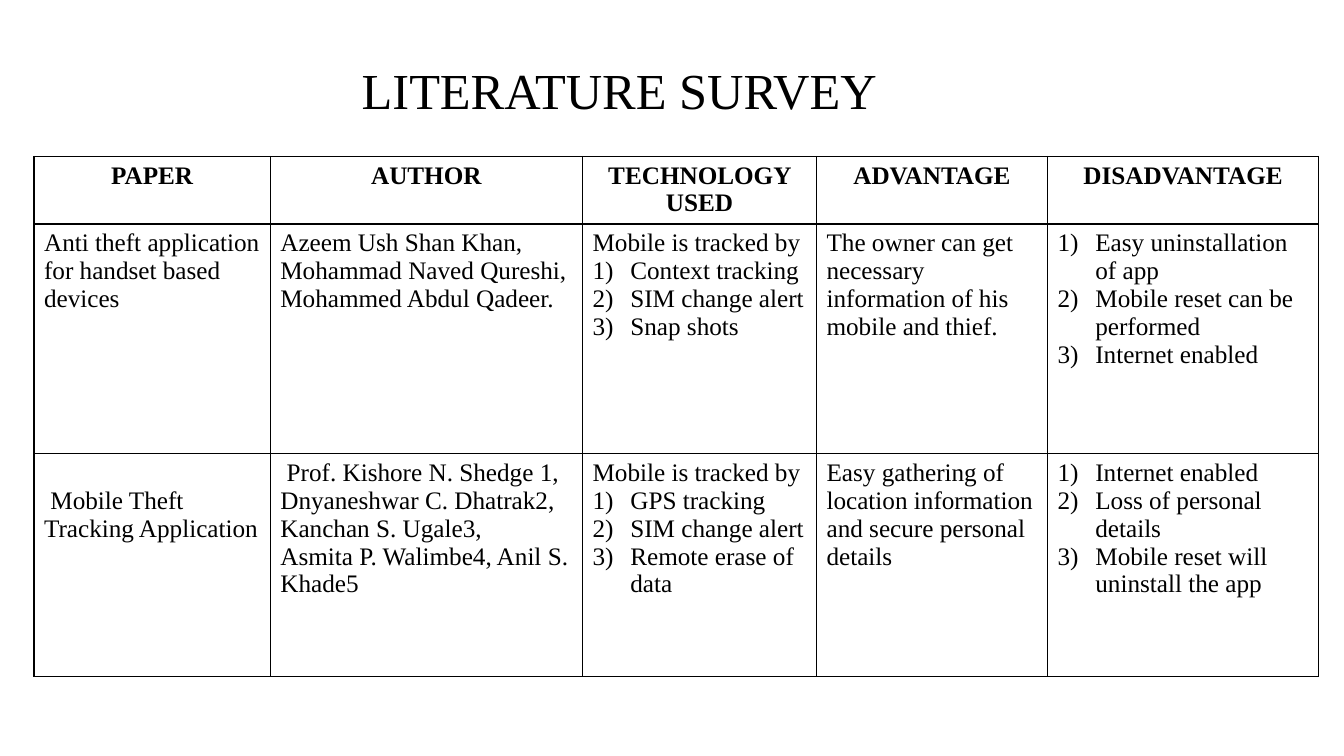
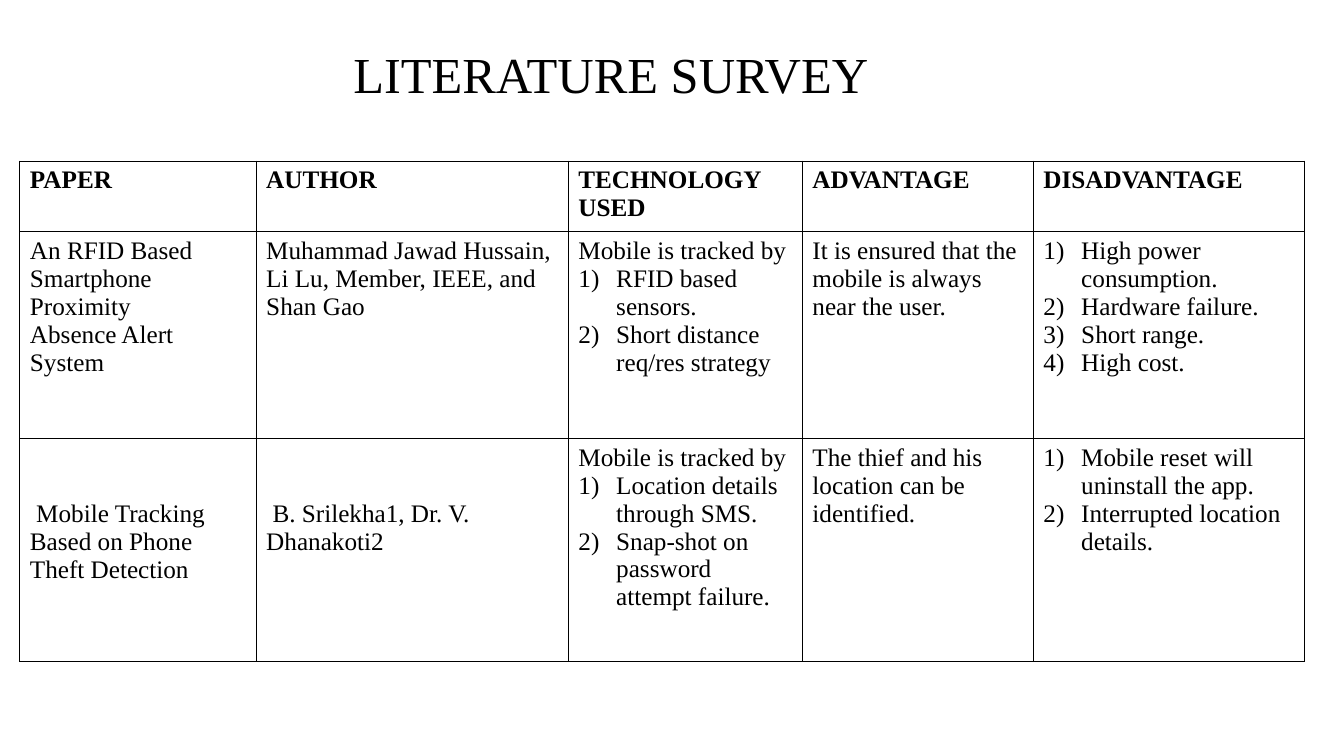
from dataclasses import dataclass

from lxml import etree
from pptx import Presentation
from pptx.dml.color import RGBColor
from pptx.enum.text import PP_ALIGN
from pptx.oxml.ns import qn
from pptx.util import Pt

LEFT = PP_ALIGN.LEFT
CENTER = PP_ALIGN.CENTER
BLACK = RGBColor(0, 0, 0)
FONT = "Times New Roman"
TITLE = "LITERATURE SURVEY"
TITLE_SIZE = 36
BODY_SIZE = 18
BODY_LINE = 20
CELL_MARGIN = 3.6
NUMBER_INDENT = 27
BORDER_WIDTH = 1
HEADERS = ["PAPER", "AUTHOR", "TECHNOLOGY USED", "ADVANTAGE", "DISADVANTAGE"]
COLUMN_WIDTHS = [168.8, 223, 167.2, 165, 193.8]
TRACKED_BY = "Mobile is tracked by"


@dataclass
class Entry:
    lines: tuple = ()
    numbered: tuple = ()
    lines_above: int = 0


THEFT_PAPERS = [
    [
        Entry(("Anti theft application for handset based devices",)),
        Entry(("Azeem Ush Shan Khan, Mohammad Naved Qureshi, Mohammed Abdul Qadeer.",)),
        Entry((TRACKED_BY,), ("Context tracking", "SIM change alert", "Snap shots")),
        Entry(("The owner can get necessary information of his mobile and thief.",)),
        Entry(numbered=("Easy uninstallation of app", "Mobile reset can be performed",
                        "Internet enabled")),
    ],
    [
        Entry((" Mobile Theft Tracking Application",), lines_above=1),
        Entry((" Prof. Kishore N. Shedge 1, Dnyaneshwar C. Dhatrak2, Kanchan S. Ugale3,",
               "Asmita P. Walimbe4, Anil S. Khade5")),
        Entry((TRACKED_BY,), ("GPS tracking", "SIM change alert", "Remote erase of data")),
        Entry(("Easy gathering of location information and secure personal details",)),
        Entry(numbered=("Internet enabled", "Loss of personal details",
                        "Mobile reset will uninstall the app")),
    ],
]

PROXIMITY_AND_TRACKING_PAPERS = [
    [
        Entry(("An RFID Based Smartphone Proximity", "Absence Alert System")),
        Entry(("Muhammad Jawad Hussain, Li Lu, Member, IEEE, and Shan Gao",)),
        Entry((TRACKED_BY,), ("RFID based sensors.", "Short distance req/res strategy")),
        Entry(("It is ensured that the mobile is always near the user.",)),
        Entry(numbered=("High power consumption.", "Hardware failure.", "Short range.",
                        "High cost.")),
    ],
    [
        Entry((" Mobile Tracking Based on Phone Theft Detection",), lines_above=2),
        Entry((" B. Srilekha1, Dr. V. Dhanakoti2",), lines_above=2),
        Entry((TRACKED_BY,), ("Location details through SMS.",
                              "Snap-shot on password attempt failure.")),
        Entry(("The thief and his location can be identified.",)),
        Entry(numbered=("Mobile reset will uninstall the app.",
                        "Interrupted location details.")),
    ],
]


def write(para, text, size=BODY_SIZE, bold=False, align=LEFT, numbered=False):
    para.alignment = align
    span = para.add_run()
    span.text = text
    span.font.name = FONT
    span.font.size = Pt(size)
    span.font.bold = bold
    span.font.color.rgb = BLACK
    if numbered:
        properties = para._p.get_or_add_pPr()
        properties.set("marL", str(Pt(NUMBER_INDENT)))
        properties.set("indent", str(-Pt(NUMBER_INDENT)))
        etree.SubElement(properties, qn("a:buAutoNum"), type="arabicParenR")


def add_title(page, left, top, align):
    box = page.shapes.add_textbox(Pt(left), Pt(top), Pt(386), Pt(51))
    box.text_frame.word_wrap = False
    write(box.text_frame.paragraphs[0], TITLE, size=TITLE_SIZE, align=align)


def outline_cell(cell):
    properties = cell._tc.get_or_add_tcPr()
    for side in ("lnL", "lnR", "lnT", "lnB"):
        line = etree.SubElement(properties, qn(f"a:{side}"), w=str(Pt(BORDER_WIDTH)))
        fill = etree.SubElement(line, qn("a:solidFill"))
        etree.SubElement(fill, qn("a:srgbClr"), val=str(BLACK))
    cell.fill.background()


def fill_cell(cell, entry, **style):
    outline_cell(cell)
    cell.margin_top = Pt(CELL_MARGIN + entry.lines_above * BODY_LINE)
    items = [(text, False) for text in entry.lines]
    items += [(text, True) for text in entry.numbered]
    frame = cell.text_frame
    for index, (text, numbered) in enumerate(items):
        para = frame.add_paragraph() if index else frame.paragraphs[0]
        write(para, text, numbered=numbered, **style)


def add_survey_table(page, papers, left, top, row_heights, header_align):
    rows = [[Entry((header,)) for header in HEADERS]] + papers
    frame = page.shapes.add_table(len(rows), len(HEADERS), Pt(left), Pt(top),
                                  Pt(sum(COLUMN_WIDTHS)), Pt(sum(row_heights)))
    table = frame.table
    for column, width in zip(table.columns, COLUMN_WIDTHS):
        column.width = Pt(width)
    for row, height, entries in zip(table.rows, row_heights, rows):
        row.height = Pt(height)
        is_header = entries is rows[0]
        for cell, entry in zip(row.cells, entries):
            fill_cell(cell, entry, bold=is_header,
                      align=header_align if is_header else LEFT)


def main():
    deck = Presentation()
    deck.slide_width = Pt(960)
    deck.slide_height = Pt(540)
    blank = deck.slide_layouts[6]

    page = deck.slides.add_slide(blank)
    add_survey_table(page, THEFT_PAPERS, 24.3, 111.8, [48.2, 164.2, 159.1], CENTER)
    add_title(page, 251.3, 38.9, LEFT)

    page = deck.slides.add_slide(blank)
    add_survey_table(page, PROXIMITY_AND_TRACKING_PAPERS, 14.2, 115.2,
                     [48.2, 147.8, 159.1], LEFT)
    add_title(page, 243.4, 27.4, CENTER)

    deck.save("out.pptx")


main()
